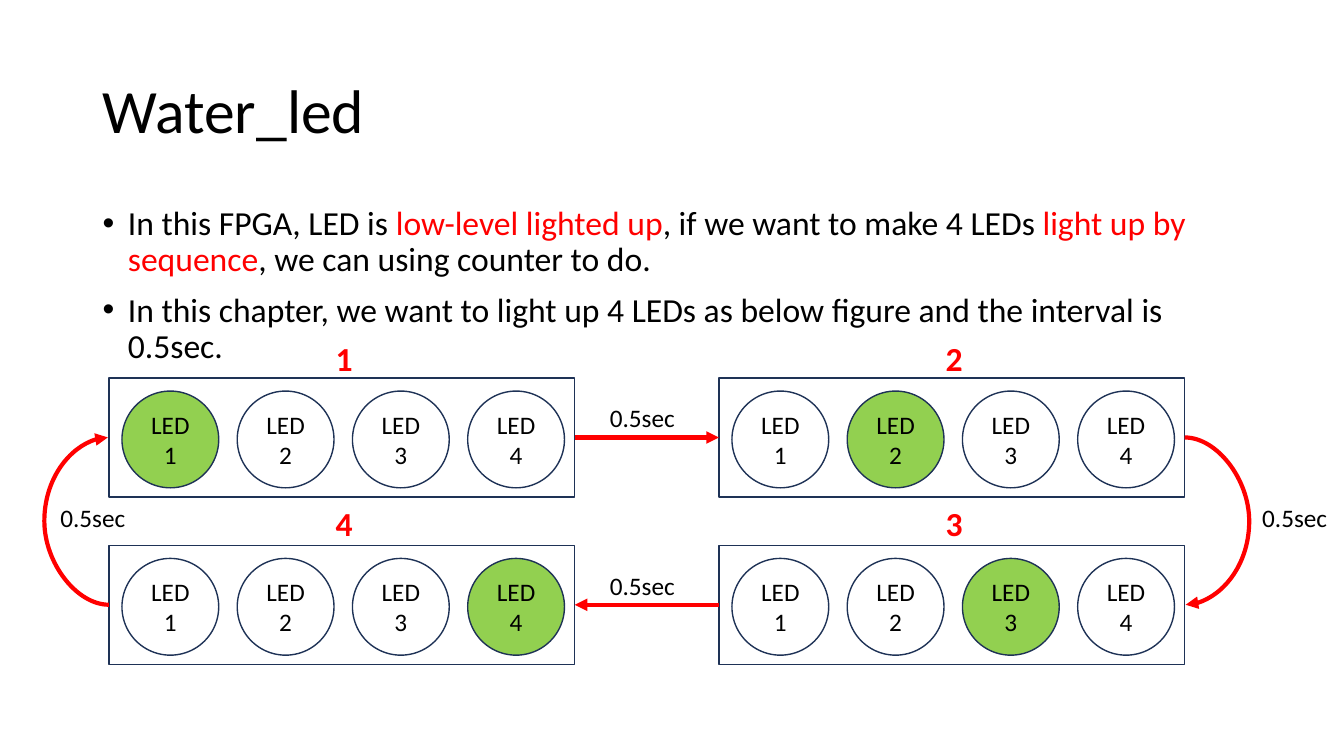
from dataclasses import dataclass

from pptx import Presentation
from pptx.dml.color import RGBColor
from pptx.enum.shapes import MSO_CONNECTOR as LINK, MSO_SHAPE as SHAPE
from pptx.enum.text import MSO_ANCHOR as ANCHOR, PP_ALIGN as ALIGN
from pptx.oxml.ns import qn
from pptx.util import Inches, Pt
from lxml.etree import SubElement


@dataclass(frozen=True)
class Theme:
    font: str = "Calibri"
    ink: RGBColor = RGBColor(0x00, 0x00, 0x00)
    accent: RGBColor = RGBColor(0xFF, 0x00, 0x00)
    lit: RGBColor = RGBColor(0x92, 0xD0, 0x50)
    outline: RGBColor = RGBColor(0x1E, 0x32, 0x56)
    title: int = 44
    body: int = 24
    label: int = 18


theme = Theme()
prs = Presentation()
prs.slide_width, prs.slide_height = Inches(13.33), Inches(7.5)
slide = prs.slides.add_slide(prs.slide_layouts[6])
shapes = slide.shapes


def add_run(paragraph, text, size, color=theme.ink, bold=False):
    run = paragraph.add_run()
    run.text = text
    run.font.name, run.font.size, run.font.bold = theme.font, Pt(size), bold
    run.font.color.rgb = color


def add_text_frame(left, top, width, height, wrap=False):
    frame = shapes.add_textbox(
        Inches(left), Inches(top), Inches(width), Inches(height)).text_frame
    frame.word_wrap = wrap
    return frame


# Title
title = add_text_frame(0.92, 0.4, 11.5, 1.45, wrap=True)
title.vertical_anchor = ANCHOR.MIDDLE
title.paragraphs[0].line_spacing = 0.9
add_run(title.paragraphs[0], "Water_led", theme.title)

# Bulleted explanation
explanation = [
    [("In this FPGA, LED is ", theme.ink),
     ("low-level lighted up", theme.accent),
     (", if we want to make 4 LEDs ", theme.ink),
     ("light up by sequence", theme.accent),
     (", we can using counter to do.", theme.ink)],
    [("In this chapter, we want to light up 4 LEDs as below figure "
      "and the interval is 0.5sec.", theme.ink)],
]
body = add_text_frame(0.92, 2, 11.5, 4.76, wrap=True)
for index, pieces in enumerate(explanation):
    point = body.add_paragraph() if index else body.paragraphs[0]
    point.line_spacing, point.space_before = 0.9, Pt(10)
    props = point._p.get_or_add_pPr()
    props.set("marL", str(Inches(0.25)))
    props.set("indent", str(Inches(-0.25)))
    SubElement(props, qn("a:buFont"), typeface="Arial")
    SubElement(props, qn("a:buChar"), char="•")
    for text, color in pieces:
        add_run(point, text, theme.body, color)

# Four steps, clockwise; in each step the LED of the same number is lit
PANEL_W, PANEL_H = 4.62, 1.18
LED_SIZE, LED_PITCH, LED_INSET = 0.96, 1.143, 0.13
LEFT, RIGHT, UPPER, LOWER = 1.08, 7.13, 3.75, 5.41
panels = []
for step, (left, top, number_top) in enumerate([
        (LEFT, UPPER, 3.3), (RIGHT, UPPER, 3.3),
        (RIGHT, LOWER, 4.94), (LEFT, LOWER, 4.94)], start=1):
    for number in range(1, 5):
        led = shapes.add_shape(
            SHAPE.OVAL,
            Inches(left + LED_INSET + (number - 1) * LED_PITCH),
            Inches(top + LED_INSET), Inches(LED_SIZE), Inches(LED_SIZE))
        led.shadow.inherit = False
        if number == step:
            led.fill.solid()
            led.fill.fore_color.rgb = theme.lit
        else:
            led.fill.background()
        led.line.color.rgb, led.line.width = theme.outline, Pt(1)
        led.text_frame.word_wrap = True
        led.text_frame.vertical_anchor = ANCHOR.MIDDLE
        caption = led.text_frame.paragraphs[0]
        caption.alignment = ALIGN.CENTER
        add_run(caption, f"LED{number}", theme.label)

    panel = shapes.add_shape(SHAPE.RECTANGLE, Inches(left), Inches(top),
                             Inches(PANEL_W), Inches(PANEL_H))
    panel.shadow.inherit = False
    panel.fill.background()
    panel.line.color.rgb, panel.line.width = theme.outline, Pt(1)
    panels.append(panel)

    step_number = add_text_frame(left + 2.15, number_top, 0.33, 0.5)
    add_run(step_number.paragraphs[0], str(step), theme.body, theme.accent, True)

# Arrows from each step to the next; curves bulge 0.65 outward
BULGE, SHIFT = 0.65, 0.01
for index, (kind, from_side, to_side, shift) in enumerate([
        (LINK.STRAIGHT, 3, 1, 0), (LINK.CURVE, 3, 3, SHIFT),
        (LINK.STRAIGHT, 1, 3, 0), (LINK.CURVE, 1, 1, -SHIFT)]):
    arrow = shapes.add_connector(kind, 0, 0, 0, 0)
    arrow.begin_connect(panels[index], from_side)
    arrow.end_connect(panels[(index + 1) % 4], to_side)
    arrow.line.color.rgb, arrow.line.width = theme.accent, Pt(3)
    SubElement(arrow.line._get_or_add_ln(), qn("a:tailEnd"), type="triangle")
    SubElement(arrow._element.spPr, qn("a:effectLst"))
    if kind == LINK.CURVE:
        arrow.end_x = arrow.begin_x + Inches(shift)
        guides = arrow._element.spPr.find(qn("a:prstGeom")).get_or_add_avLst()
        SubElement(guides, qn("a:gd"), name="adj1",
                   fmla=f"val {round(BULGE / SHIFT * 100000)}")

# Interval beside each arrow
for left, top in [(5.95, 3.94), (12.42, 4.93), (5.95, 5.61), (0.5, 4.93)]:
    interval = add_text_frame(left, top, 0.99, 0.4)
    add_run(interval.paragraphs[0], "0.5sec", theme.label)

prs.save("out.pptx")
